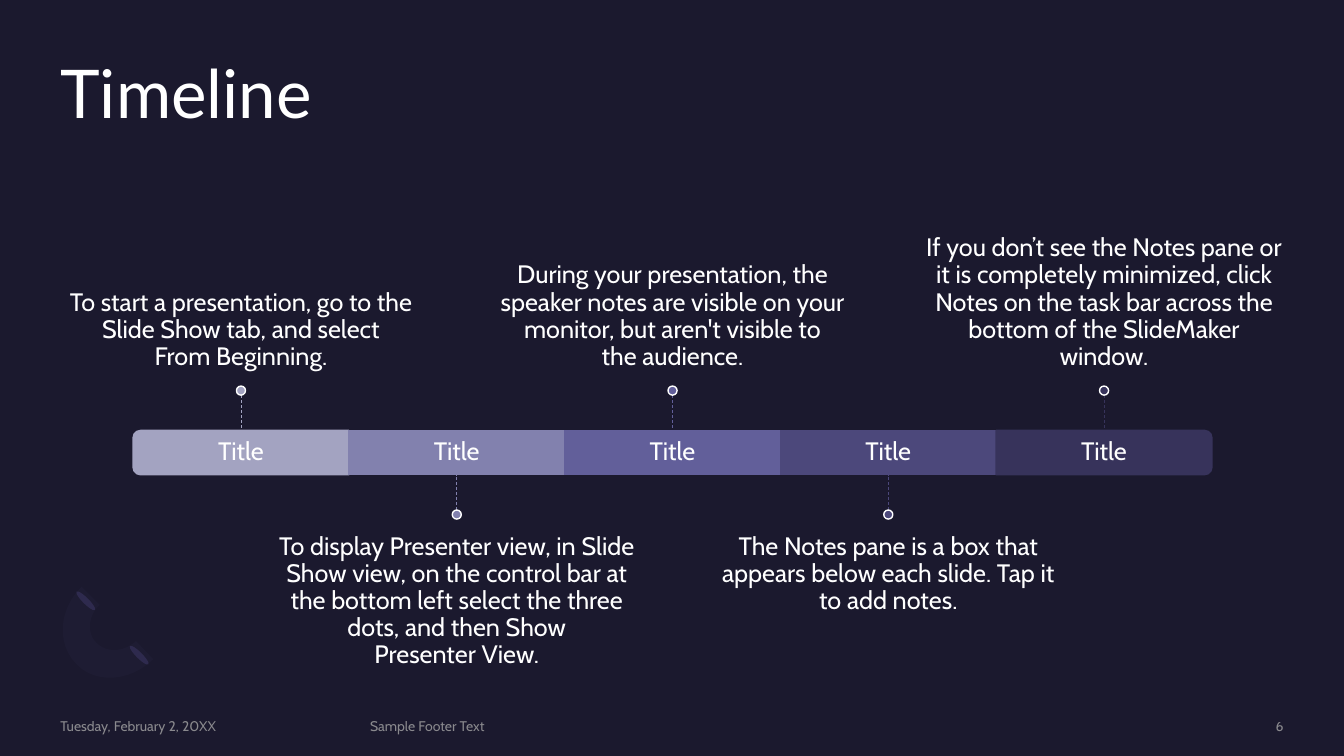
from dataclasses import dataclass

from pptx import Presentation
from pptx.dml.color import RGBColor
from pptx.enum.dml import MSO_LINE
from pptx.enum.shapes import MSO_CONNECTOR, MSO_SHAPE
from pptx.enum.text import MSO_ANCHOR, PP_ALIGN
from pptx.oxml.ns import qn
from pptx.util import Inches, Pt
from lxml import etree

LEFT, CENTER, RIGHT = PP_ALIGN.LEFT, PP_ALIGN.CENTER, PP_ALIGN.RIGHT
TOP, MIDDLE, BOTTOM = MSO_ANCHOR.TOP, MSO_ANCHOR.MIDDLE, MSO_ANCHOR.BOTTOM
ELLIPSE, RECTANGLE = MSO_SHAPE.OVAL, MSO_SHAPE.RECTANGLE
ROUNDED_END = MSO_SHAPE.ROUND_2_SAME_RECTANGLE
STRAIGHT, DASH = MSO_CONNECTOR.STRAIGHT, MSO_LINE.DASH


@dataclass(frozen=True)
class Theme:
    background: str = "1B192E"
    text: str = "FFFFFF"
    footer: str = "A6A6A6"
    leaf: str = "2C284A"
    arc: str = "7771B2"
    heading_font: str = "Lato"
    body_font: str = "Cabin"
    heading_size: int = 48
    body_size: int = 18
    footer_size: int = 10
    footer_opacity: int = 80
    arc_opacity: int = 4


theme = Theme()


def add_text(text, left, top, width, height, *, size=theme.body_size,
             font=theme.body_font, color=theme.text, align=CENTER,
             anchor=MIDDLE, spacing=0.9, inset_top=0, inset_bottom=0):
    box = slide.shapes.add_textbox(Inches(left), Inches(top),
                                   Inches(width), Inches(height))
    frame = box.text_frame
    frame.word_wrap = True
    frame.vertical_anchor = anchor
    frame.margin_left = frame.margin_right = 0
    frame.margin_top, frame.margin_bottom = Inches(inset_top), Inches(inset_bottom)
    frame.text = text
    paragraph = frame.paragraphs[0]
    paragraph.alignment = align
    paragraph.line_spacing = spacing
    for run in paragraph.runs:
        run.font.name = font
        run.font.size = Pt(size)
        run.font.color.rgb = RGBColor.from_string(color)
    return box


def paint(shape, fill, line=None):
    shape.shadow.inherit = False
    shape.fill.solid()
    shape.fill.fore_color.rgb = RGBColor.from_string(fill)
    if line:
        shape.line.color.rgb = RGBColor.from_string(line)
        shape.line.width = Pt(1)
    else:
        shape.line.fill.background()


prs = Presentation()
prs.slide_width, prs.slide_height = Inches(13.33), Inches(7.5)
slide = prs.slides.add_slide(prs.slide_layouts[6])
slide.background.fill.solid()
slide.background.fill.fore_color.rgb = RGBColor.from_string(theme.background)

# Corner ornament: two leaves and a faint arc
for leaf_left, leaf_top in [(1.35, 6.37), (0.82, 5.83)]:
    leaf = slide.shapes.add_shape(ELLIPSE, Inches(leaf_left), Inches(leaf_top),
                                  Inches(0.06), Inches(0.26))
    leaf.rotation = 135
    paint(leaf, theme.leaf)

arc_curves = [
    [(0.76, 6.59), (0.56, 6.39), (0.58, 6.05), (0.81, 5.82)],
    [(0.99, 6.00), (0.87, 6.11), (0.86, 6.29), (0.96, 6.38)],
    [(0.96, 6.38), (1.06, 6.48), (1.23, 6.47), (1.35, 6.36)],
    [(1.52, 6.54), (1.30, 6.76), (0.95, 6.79), (0.76, 6.59)],
]
STEPS = 12
arc_points = []
for curve in arc_curves:
    for step in range(STEPS + 1):
        t = step / STEPS
        weights = [(1 - t) ** 3, 3 * t * (1 - t) ** 2, 3 * t * t * (1 - t), t ** 3]
        arc_points.append(tuple(
            Inches(sum(w * point[axis] for w, point in zip(weights, curve)))
            for axis in (0, 1)))
outline = slide.shapes.build_freeform(*arc_points[0])
outline.add_line_segments(arc_points[1:], close=True)
arc = outline.convert_to_shape()
paint(arc, theme.arc)
faded = [(arc, theme.arc_opacity)]

# Heading
add_text("Timeline", 0.6, 0.6, 12.13, 1.46, size=theme.heading_size,
         font=theme.heading_font, align=LEFT, anchor=TOP)

# Timeline: notes alternate above and below the bar
BAR_LEFT, BAR_TOP, STEP_WIDTH, BAR_HEIGHT = 1.32, 4.27, 2.14, 0.44
NOTE_WIDTH, NOTE_HEIGHT, NOTE_GAP = 3.57, 1.52, 0.15
STEM, DOT = 0.35, 0.09
milestones = [
    ("A3A3C1", "To start a presentation, go to the Slide Show tab, and select"
               "\vFrom Beginning."),
    ("8281AE", "To display Presenter view, in Slide Show view, on the control bar "
               "at the bottom left select the three dots, and then Show"
               "\vPresenter View."),
    ("625F9A", "During your presentation, the speaker notes are visible on your "
               "monitor, but aren't visible to\vthe audience."),
    ("4C487B", "The Notes pane is a box that appears below each slide. "
               "Tap it to add notes."),
    ("37335B", "If you don’t see the Notes pane or it is completely minimized, "
               "click Notes on the task bar across the bottom of the SlideMaker "
               "window."),
]
end_rotation = {0: 270, len(milestones) - 1: 90}

for index, (color, note) in enumerate(milestones):
    left = BAR_LEFT + index * STEP_WIDTH
    center = left + STEP_WIDTH / 2
    above = index % 2 == 0

    # Bar segment; the end pieces are upright shapes turned on their side
    if index in end_rotation:
        middle = BAR_TOP + BAR_HEIGHT / 2
        segment = slide.shapes.add_shape(
            ROUNDED_END, Inches(center - BAR_HEIGHT / 2),
            Inches(middle - STEP_WIDTH / 2), Inches(BAR_HEIGHT), Inches(STEP_WIDTH))
        segment.rotation = end_rotation[index]
    else:
        segment = slide.shapes.add_shape(
            RECTANGLE, Inches(left), Inches(BAR_TOP),
            Inches(STEP_WIDTH), Inches(BAR_HEIGHT))
    paint(segment, color, color)
    add_text("Title", left, BAR_TOP, STEP_WIDTH, BAR_HEIGHT)

    # Note
    if above:
        note_top, bar_edge, stem_end = 2.31, BAR_TOP, BAR_TOP - STEM
        dot_top = stem_end - DOT
    else:
        note_top, bar_edge = 5.14, BAR_TOP + BAR_HEIGHT
        stem_end = dot_top = bar_edge + STEM
    add_text(note, center - NOTE_WIDTH / 2, note_top, NOTE_WIDTH, NOTE_HEIGHT,
             anchor=BOTTOM if above else TOP,
             inset_top=0 if above else NOTE_GAP,
             inset_bottom=NOTE_GAP if above else 0)

    # Stem and dot
    stem = slide.shapes.add_connector(STRAIGHT, Inches(center), Inches(stem_end),
                                      Inches(center), Inches(bar_edge))
    stem.line.color.rgb = RGBColor.from_string(color)
    stem.line.width = Pt(0.5)
    stem.line.dash_style = DASH
    etree.SubElement(stem.element.find(qn("p:spPr")), qn("a:effectLst"))
    dot = slide.shapes.add_shape(ELLIPSE, Inches(center - DOT / 2), Inches(dot_top),
                                 Inches(DOT), Inches(DOT))
    paint(dot, color, theme.text)

# Footer
for text, left, width, align in [
    ("Tuesday, February 2, 20XX", 0.6, 2.88, LEFT),
    ("Sample Footer Text", 3.67, 6.98, LEFT),
    ("6", 10.88, 1.85, RIGHT),
]:
    footer = add_text(text, left, 7.12, width, 0.17, size=theme.footer_size,
                      color=theme.footer, align=align, spacing=1.0)
    faded.append((footer, theme.footer_opacity))

# Transparency
for item, opacity in faded:
    for tint in item.element.iter(qn("a:srgbClr")):
        etree.SubElement(tint, qn("a:alpha")).set("val", str(opacity * 1000))

prs.save("out.pptx")
